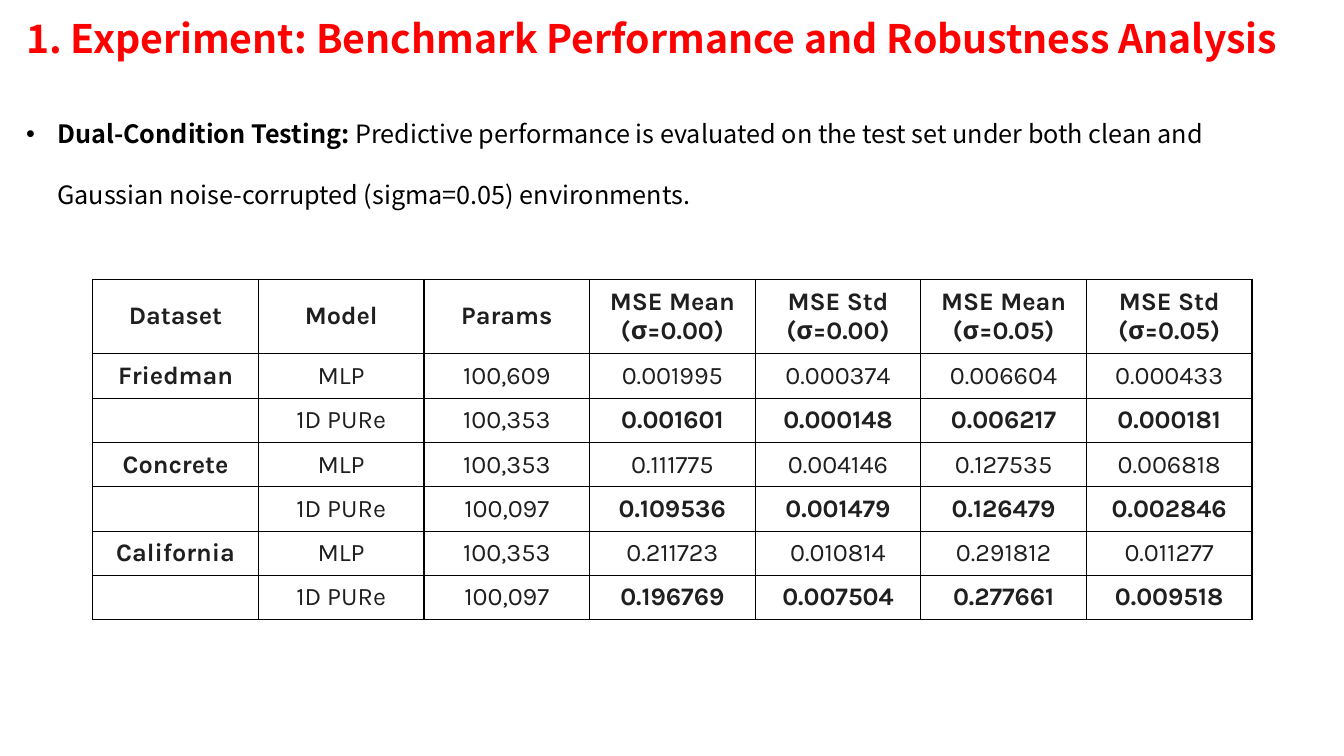
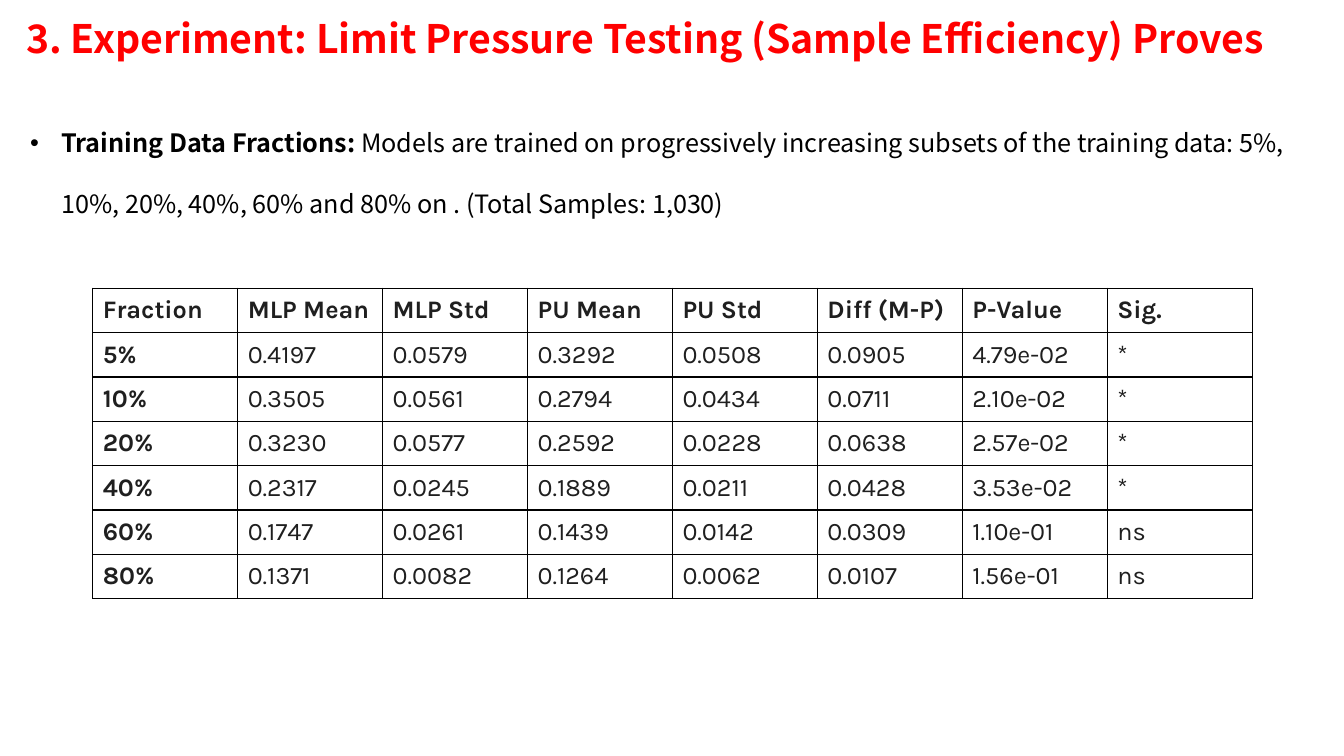
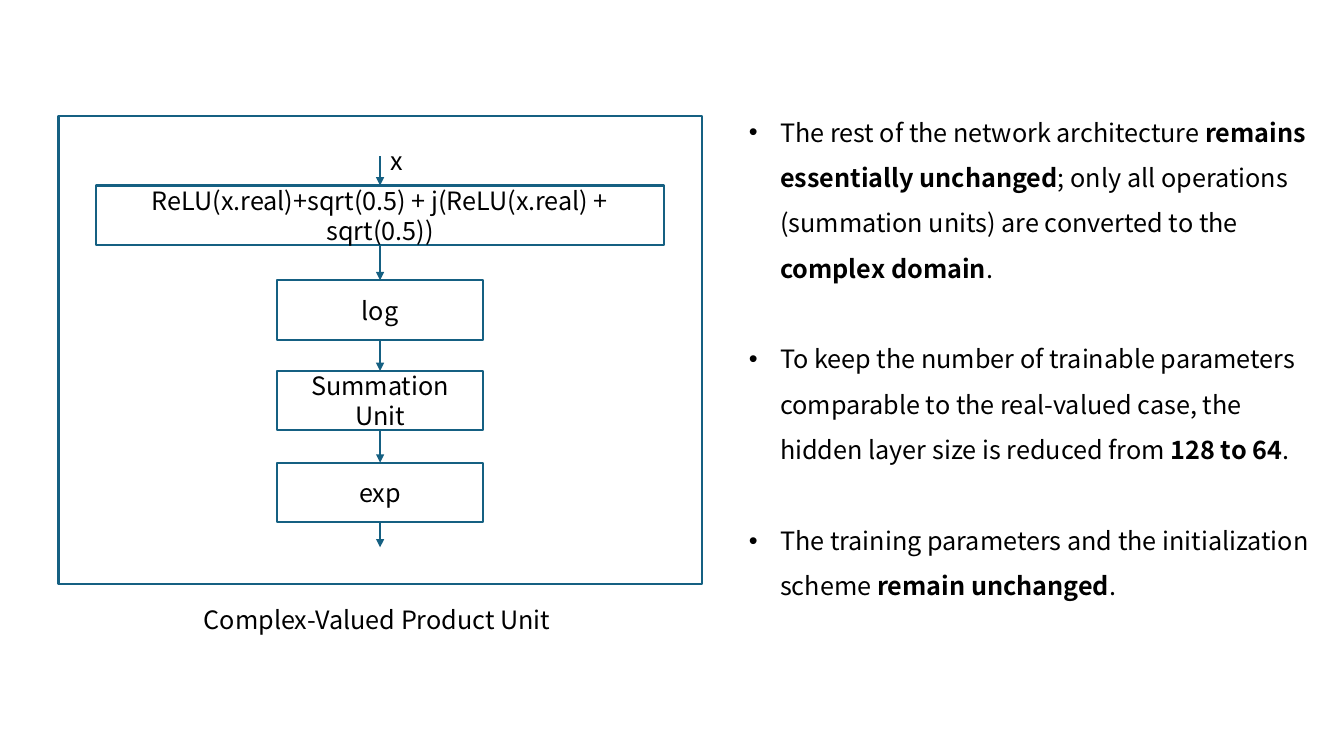
from lxml.etree import SubElement
from pptx import Presentation
from pptx.dml.color import RGBColor
from pptx.enum.shapes import MSO_CONNECTOR, MSO_SHAPE
from pptx.enum.text import MSO_ANCHOR, MSO_AUTO_SIZE, PP_ALIGN
from pptx.oxml.ns import qn
from pptx.util import Pt

SCALE = 9144  # EMU per px, 100 px to the inch
SANS, GRID = "Noto Sans CJK SC", "Karla"
RED, BLACK, WHITE = "FF0000", "000000", "FFFFFF"
INK, TEAL = "1F1F1F", "156082"
LEFT, MID = PP_ALIGN.LEFT, PP_ALIGN.CENTER
TITLE_BOX = (16, 9, 1263, 57)
BULLET_PAD = (10, 0, 10, 5)
CELL_PAD = (10, 7, 10, 7)

SCORES = [
    ["Dataset", "Model", "Params", "MSE Mean (σ=0.00)", "MSE Std (σ=0.00)",
     "MSE Mean (σ=0.05)", "MSE Std (σ=0.05)"],
    ["Friedman", "MLP", "100,609", "0.001995", "0.000374", "0.006604", "0.000433"],
    ["", "1D PURe", "100,353", "0.001601", "0.000148", "0.006217", "0.000181"],
    ["Concrete", "MLP", "100,353", "0.111775", "0.004146", "0.127535", "0.006818"],
    ["", "1D PURe", "100,097", "0.109536", "0.001479", "0.126479", "0.002846"],
    ["California", "MLP", "100,353", "0.211723", "0.010814", "0.291812", "0.011277"],
    ["", "1D PURe", "100,097", "0.196769", "0.007504", "0.277661", "0.009518"],
]
SAMPLES = [
    ["Fraction", "MLP Mean", "MLP Std", "PU Mean", "PU Std", "Diff (M-P)",
     "P-Value", "Sig."],
    ["5%", "0.4197", "0.0579", "0.3292", "0.0508", "0.0905", "4.79e-02", "*"],
    ["10%", "0.3505", "0.0561", "0.2794", "0.0434", "0.0711", "2.10e-02", "*"],
    ["20%", "0.3230", "0.0577", "0.2592", "0.0228", "0.0638", "2.57e-02", "*"],
    ["40%", "0.2317", "0.0245", "0.1889", "0.0211", "0.0428", "3.53e-02", "*"],
    ["60%", "0.1747", "0.0261", "0.1439", "0.0142", "0.0309", "1.10e-01", "ns"],
    ["80%", "0.1371", "0.0082", "0.1264", "0.0062", "0.0107", "1.56e-01", "ns"],
]
# Text between ** marks is bold
TESTING = ["**Dual-Condition Testing: **Predictive performance is evaluated on the "
           "test set under both clean and Gaussian noise-corrupted (sigma=0.05) "
           "environments."]
TRAINING = ["**Training Data Fractions: **Models are trained on progressively "
            "increasing subsets of the training data: 5%, 10%, 20%, 40%, 60% and "
            "80% on . (Total Samples: 1,030)"]
CHANGES = [
    "The rest of the network architecture **remains essentially unchanged**; only all "
    "operations (summation units) are converted to the **complex domain**.",
    "To keep the number of trainable parameters comparable to the real-valued case, "
    "the hidden layer size is reduced from **128 to 64**.",
    "The training parameters and the initialization scheme **remain unchanged**.",
]
STEPS = [
    ("ReLU(x.real)+sqrt(0.5) + j(ReLU(x.real) + sqrt(0.5))", (95, 184, 564, 59)),
    ("log", (275, 278, 204, 59)),
    ("Summation Unit", (275, 368, 204, 59)),
    ("exp", (275, 459, 204, 59)),
]


def px(*nums):
    return [num * SCALE for num in nums]


def color(code):
    return RGBColor.from_string(code)


# Text
def add_run(para, text, size=18, bold=False, face=SANS, code=BLACK):
    run = para.add_run()
    run.text = text
    font = run.font
    font.size, font.bold, font.name = Pt(size), bold, face
    font.color.rgb = color(code)


def set_pad(item, pad):
    item.margin_left, item.margin_top, item.margin_right, item.margin_bottom = px(*pad)


def add_label(slide, text, box, align=LEFT):
    frame = slide.shapes.add_textbox(*px(*box)).text_frame
    frame.word_wrap = True
    para = frame.paragraphs[0]
    para.alignment = align
    add_run(para, text)


def add_points(slide, points, box, lines, gap=0):
    frame = slide.shapes.add_textbox(*px(*box)).text_frame
    frame.word_wrap = True
    frame.vertical_anchor = MSO_ANCHOR.MIDDLE
    set_pad(frame, BULLET_PAD)
    for num, point in enumerate(points):
        para = frame.add_paragraph() if num else frame.paragraphs[0]
        props = para._p.get_or_add_pPr()
        indent, = px(31)
        props.set("marL", str(indent))
        props.set("indent", str(-indent))
        SubElement(props, qn("a:buFont")).set("typeface", "Arial")
        SubElement(props, qn("a:buChar")).set("char", "•")
        para.line_spacing = lines
        if num:
            para.space_before = Pt(gap)
        for part, text in enumerate(point.split("**")):
            if text:
                add_run(para, text, bold=part % 2 == 1)


def set_title(slide, text):
    title = slide.shapes.title
    title.left, title.top, title.width, title.height = px(*TITLE_BOX)
    frame = title.text_frame
    frame.auto_size = MSO_AUTO_SIZE.NONE
    frame.vertical_anchor = MSO_ANCHOR.TOP
    para = frame.paragraphs[0]
    para.alignment = LEFT
    add_run(para, text, 28, True, code=RED)


# Tables
def add_border(cell):
    props = cell._tc.get_or_add_tcPr()
    for side in ("a:lnL", "a:lnR", "a:lnT", "a:lnB"):
        line = SubElement(props, qn(side), w=str(Pt(1)))
        fill = SubElement(line, qn("a:solidFill"))
        SubElement(fill, qn("a:srgbClr"), val=BLACK)


def add_grid(slide, rows, top, head, align, best=""):
    heights = [head] + [43] * (len(rows) - 1)
    count = len(rows[0])
    table = slide.shapes.add_table(
        len(rows), count, *px(92, top, 1150, sum(heights))).table
    table.first_row = table.horz_banding = False
    for col in table.columns:
        col.width = px(1150)[0] // count
    for r, row in enumerate(rows):
        table.rows[r].height, = px(heights[r])
        for c, text in enumerate(row):
            cell = table.cell(r, c)
            add_border(cell)
            cell.fill.background()
            cell.vertical_anchor = MSO_ANCHOR.MIDDLE
            set_pad(cell, CELL_PAD)
            if text:
                para = cell.text_frame.paragraphs[0]
                para.alignment = align
                strong = r == 0 or c == 0 or (row[1] == best and c > 2)
                add_run(para, text, bold=strong, face=GRID, code=INK)


# Flow chart
def add_box(slide, box, text=""):
    shape = slide.shapes.add_shape(MSO_SHAPE.RECTANGLE, *px(*box))
    shape.shadow.inherit = False
    shape.fill.solid()
    shape.fill.fore_color.rgb = color(WHITE)
    shape.line.color.rgb = color(TEAL)
    shape.line.width = Pt(1.5)
    if text:
        frame = shape.text_frame
        frame.word_wrap = True
        frame.vertical_anchor = MSO_ANCHOR.MIDDLE
        para = frame.paragraphs[0]
        para.alignment = MID
        add_run(para, text)
    return shape


def add_arrow(slide, start=None, end=None, y=0):
    """Join two boxes; a missing box leaves that end free at height y."""
    line = slide.shapes.add_connector(MSO_CONNECTOR.STRAIGHT, *px(377, y, 377, y))
    if start is not None:
        line.begin_connect(start, 2)
    if end is not None:
        line.end_connect(end, 0)
    line.line.color.rgb = color(TEAL)
    line.line.width = Pt(1.5)
    SubElement(line.line._get_or_add_ln(), qn("a:tailEnd"), type="triangle")
    SubElement(line._element.spPr, qn("a:effectLst"))


# Slides
def add_test(deck, title, points, box):
    slide = deck.slides.add_slide(deck.slide_layouts[5])
    set_title(slide, title)
    add_points(slide, points, box, 2.0)
    return slide


def add_flow(deck):
    slide = deck.slides.add_slide(deck.slide_layouts[6])
    add_box(slide, (58, 115, 638, 464))
    add_label(slide, "Complex-Valued Product Unit", (185, 595, 378, 40), MID)
    boxes = [add_box(slide, box, text) for text, box in STEPS]
    add_arrow(slide, end=boxes[0], y=155)
    for start, end in zip(boxes, boxes[1:]):
        add_arrow(slide, start, end)
    add_arrow(slide, start=boxes[-1], y=543)
    add_label(slide, "x", (377, 139, 30, 40))
    add_points(slide, CHANGES, (733, 101, 594, 500), 1.5, 32.4)


def main():
    deck = Presentation()
    deck.slide_width, deck.slide_height = px(1333, 750)
    slide = add_test(
        deck, "1. Experiment: Benchmark Performance and Robustness Analysis",
        TESTING, (16, 91, 1293, 118))
    add_grid(slide, SCORES, 277, 73, MID, "1D PURe")
    slide = add_test(
        deck, "3. Experiment: Limit Pressure Testing (Sample Efficiency) Proves",
        TRAINING, (20, 100, 1293, 118))
    add_grid(slide, SAMPLES, 286, 43, LEFT)
    add_flow(deck)
    deck.save("out.pptx")


if __name__ == "__main__":
    main()
